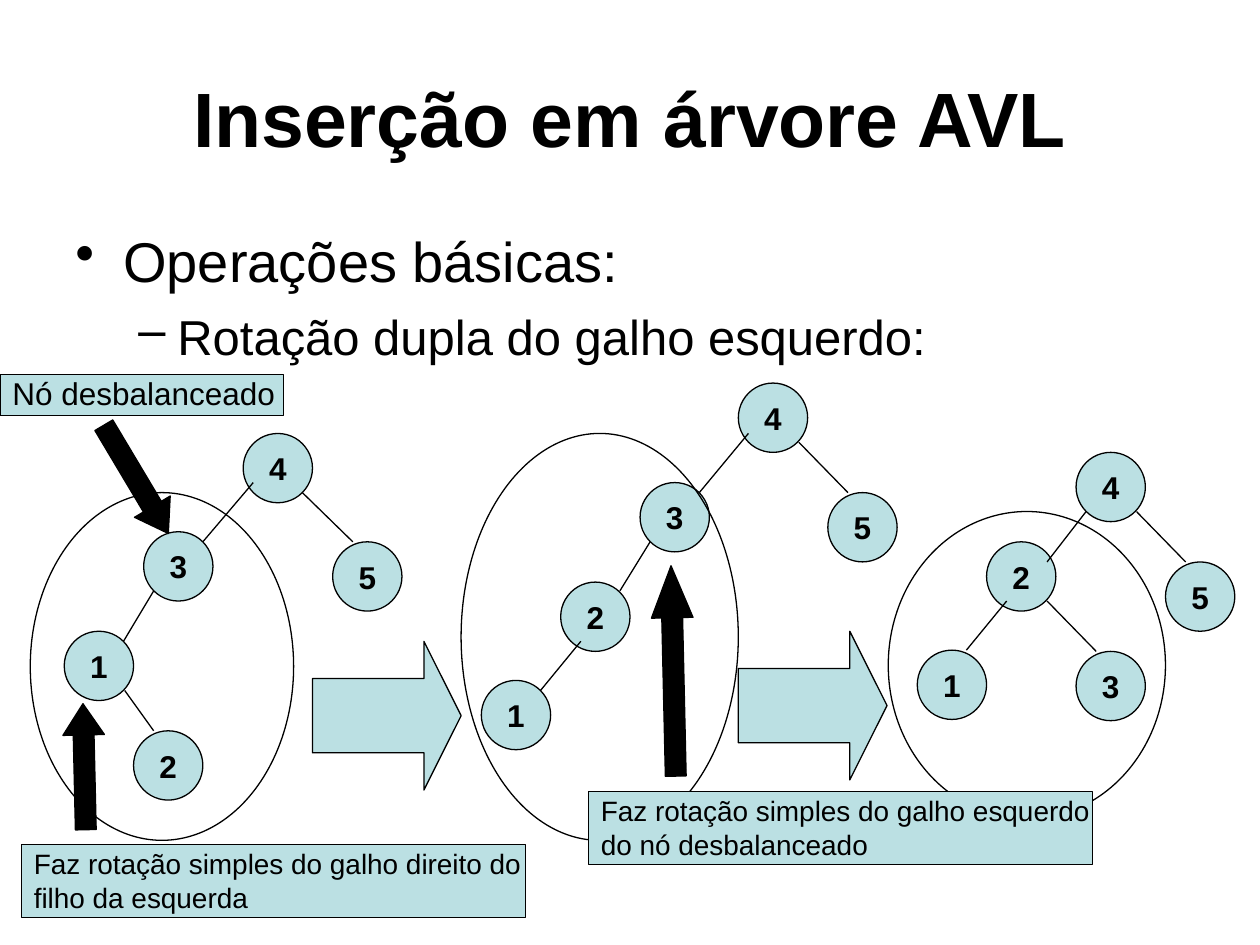
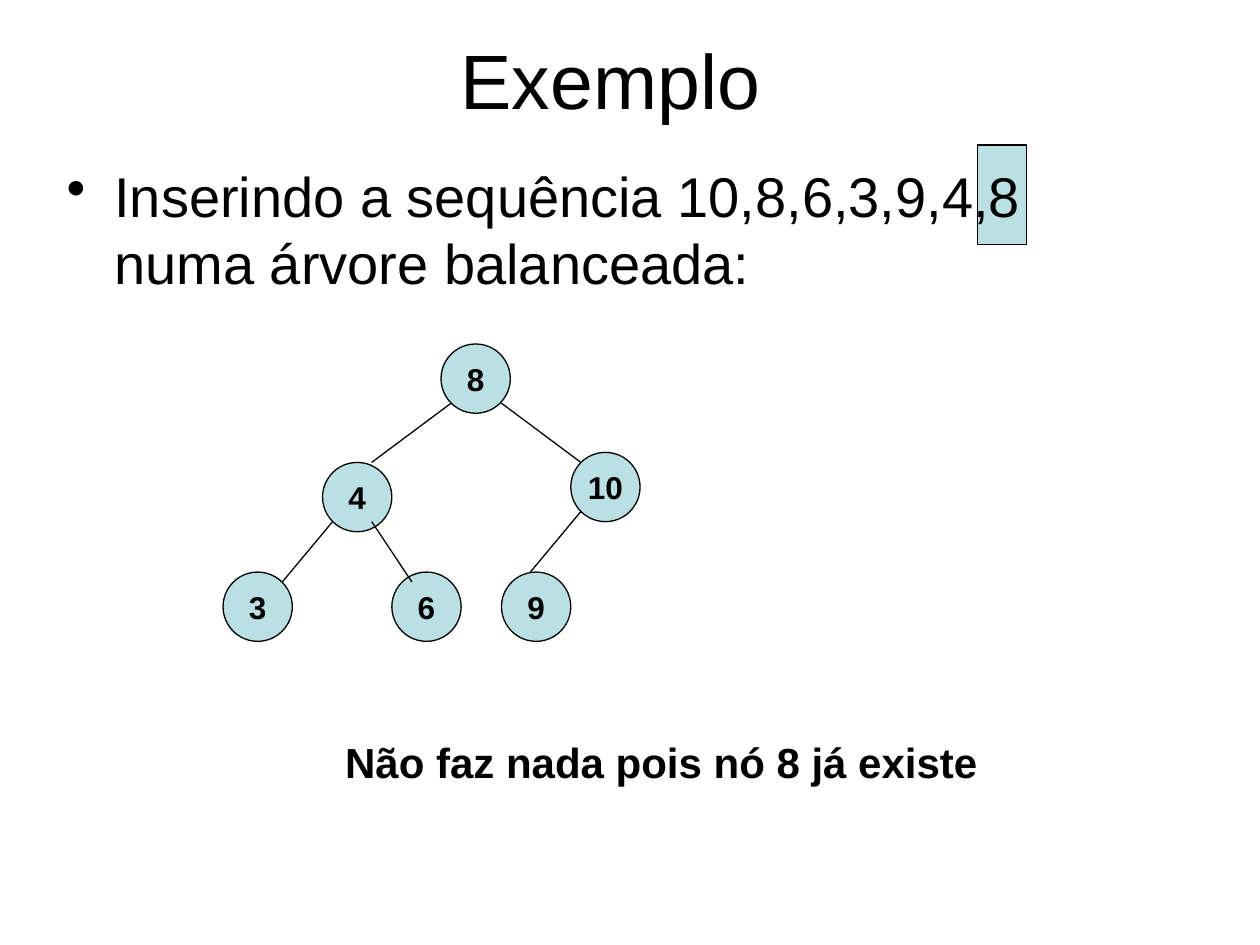
"""Build two slides on insertion into AVL trees."""
from dataclasses import dataclass

from lxml import etree
from pptx import Presentation
from pptx.dml.color import RGBColor
from pptx.enum.shapes import MSO_CONNECTOR, MSO_SHAPE
from pptx.enum.text import MSO_ANCHOR, MSO_AUTO_SIZE, PP_ALIGN
from pptx.oxml.ns import qn
from pptx.util import Pt

OVAL, RECTANGLE, ARROW = MSO_SHAPE.OVAL, MSO_SHAPE.RECTANGLE, MSO_SHAPE.RIGHT_ARROW
STRAIGHT = MSO_CONNECTOR.STRAIGHT
LEFT, CENTER = PP_ALIGN.LEFT, PP_ALIGN.CENTER
TOP, MIDDLE = MSO_ANCHOR.TOP, MSO_ANCHOR.MIDDLE
NO_FIT = MSO_AUTO_SIZE.NONE
TITLE_ONLY = 5
PX = 9144
NODE = 55


@dataclass(frozen=True)
class Theme:
    font: str = "Arial"
    ink: RGBColor = RGBColor(0, 0, 0)
    tint: RGBColor = RGBColor(0xBB, 0xE0, 0xE3)
    line: float = 0.75
    title: int = 44
    note: int = 24
    label: int = 18
    caption: int = 16
    bullets: tuple = (("•", 32, 8, 38, 38), ("–", 28, 7, 81, 31))


THEME = Theme()


def write(frame, text, size=THEME.label, bold=False, align=LEFT, anchor=TOP,
          wrap=False, bulleted=False):
    frame.word_wrap = wrap
    frame.auto_size = NO_FIT
    frame.vertical_anchor = anchor
    for level, line in enumerate(text.split("\n")):
        para = frame.add_paragraph() if level else frame.paragraphs[0]
        para.alignment = align
        span = para.add_run()
        span.text = line
        span.font.name = THEME.font
        span.font.bold = bold
        span.font.color.rgb = THEME.ink
        span.font.size = Pt(size)
        if bulleted:
            sign, line_size, before, indent, hang = THEME.bullets[level]
            span.font.size = Pt(line_size)
            para.space_before = Pt(before)
            properties = para._p.get_or_add_pPr()
            properties.set("marL", str(indent * PX))
            properties.set("indent", str(-hang * PX))
            etree.SubElement(properties, qn("a:buChar")).set("char", sign)


def draw(page, kind, box, fill=None, turn=0, head=None):
    shape = page.shapes.add_shape(kind, *(value * PX for value in box))
    shape.shadow.inherit = False
    shape.line.color.rgb = THEME.ink
    shape.line.width = Pt(THEME.line)
    shape.rotation = turn
    if fill is None:
        shape.fill.background()
    else:
        shape.fill.solid()
        shape.fill.fore_color.rgb = fill
    if head is not None:
        shape.adjustments[1] = head
    return shape


rotation_slide = dict(
    title="Inserção em árvore AVL", bold=True, title_box=(50, 30, 900, 125),
    body="Operações básicas:\nRotação dupla do galho esquerdo:",
    body_box=(50, 175, 900, 495),
    highlights=[],
    nodes=[
        ("3", 114, 422), ("1", 51, 501), ("2", 106, 580), ("5", 264, 430), ("4", 193, 344),
        ("3", 508, 383), ("2", 445, 462), ("1", 382, 540), ("5", 657, 391), ("4", 586, 304),
        ("3", 854, 517), ("2", 783, 430), ("1", 728, 516), ("5", 925, 446), ("4", 854, 359),
    ],
    edges=[
        (122, 469, 98, 509), (99, 548, 122, 580), (240, 391, 280, 430), (201, 383, 161, 430),
        (516, 430, 492, 469), (461, 509, 429, 548), (634, 351, 673, 391), (594, 344, 555, 391),
        (799, 477, 767, 516), (831, 477, 870, 517), (902, 406, 941, 446), (862, 406, 831, 446),
    ],
)
example_slide = dict(
    title="Exemplo ", bold=False, title_box=(43, 0, 900, 125),
    body="Inserindo a sequência 10,8,6,3,9,4,8 numa árvore balanceada:",
    body_box=(43, 123, 900, 495),
    highlights=[(776, 115, 39, 79)],
    nodes=[
        ("8", 350, 273), ("6", 311, 454), ("10", 453, 359),
        ("4", 256, 367), ("9", 398, 454), ("3", 177, 454),
    ],
    edges=[
        (358, 320, 295, 367), (398, 320, 461, 367), (461, 406, 421, 454),
        (264, 414, 224, 462), (295, 414, 327, 462),
    ],
)

deck = Presentation()
deck.slide_width, deck.slide_height = 1000 * PX, 750 * PX

pages = []
for content in (rotation_slide, example_slide):
    page = deck.slides.add_slide(deck.slide_layouts[TITLE_ONLY])
    pages.append(page)
    title = page.shapes.title
    title.left, title.top, title.width, title.height = (
        value * PX for value in content["title_box"])
    write(title.text_frame, content["title"], size=THEME.title, bold=content["bold"],
          align=CENTER, anchor=MIDDLE, wrap=True)
    for box in content["highlights"]:
        draw(page, RECTANGLE, box, fill=THEME.tint)
    body = page.shapes.add_textbox(*(value * PX for value in content["body_box"]))
    write(body.text_frame, content["body"], wrap=True, bulleted=True)
    for key, left, top in content["nodes"]:
        node = draw(page, OVAL, (left, top, NODE, NODE), fill=THEME.tint)
        write(node.text_frame, key, bold=True, align=CENTER, anchor=MIDDLE)
    for edge in content["edges"]:
        connector = page.shapes.add_connector(STRAIGHT, *(value * PX for value in edge))
        connector.line.color.rgb = THEME.ink
        connector.line.width = Pt(THEME.line)
        etree.SubElement(connector._element.spPr, qn("a:effectLst"))

rotation_page, example_page = pages

for left, top in ((248, 509), (586, 501)):
    draw(rotation_page, ARROW, (left, top, 118, 118), fill=THEME.tint, head=0.25)

for ring in ((24, 391, 209, 276), (705, 406, 220, 244), (366, 344, 220, 323)):
    draw(rotation_page, OVAL, ring)

callouts = [
    ("Faz rotação simples do galho direito do\nfilho da esquerda", THEME.caption,
     (17, 670, 400, 58), (17, 667, 413, 64)),
    ("Nó desbalanceado", THEME.label, (0, 297, 225, 33), (0, 292, 228, 40)),
    ("Faz rotação simples do galho esquerdo\ndo nó desbalanceado", THEME.caption,
     (467, 628, 400, 58), (467, 625, 414, 64)),
]
for text, size, panel, text_box in callouts:
    draw(rotation_page, RECTANGLE, panel, fill=THEME.tint)
    caption = rotation_page.shapes.add_textbox(*(value * PX for value in text_box))
    write(caption.text_frame, text, size=size)

pointers = [
    ((17, 592, 100, 33), 268.7, 0.75),
    ((58, 364, 100, 33), 59.2, 0.75),
    ((451, 516, 167, 33), 268.7, 1.25),
]
for box, turn, head in pointers:
    draw(rotation_page, ARROW, box, fill=THEME.ink, turn=turn, head=head)

note = example_page.shapes.add_textbox(264 * PX, 580 * PX, 522 * PX, 50 * PX)
write(note.text_frame, "Não faz nada pois nó 8 já existe", size=THEME.note, bold=True)

deck.save("out.pptx")
